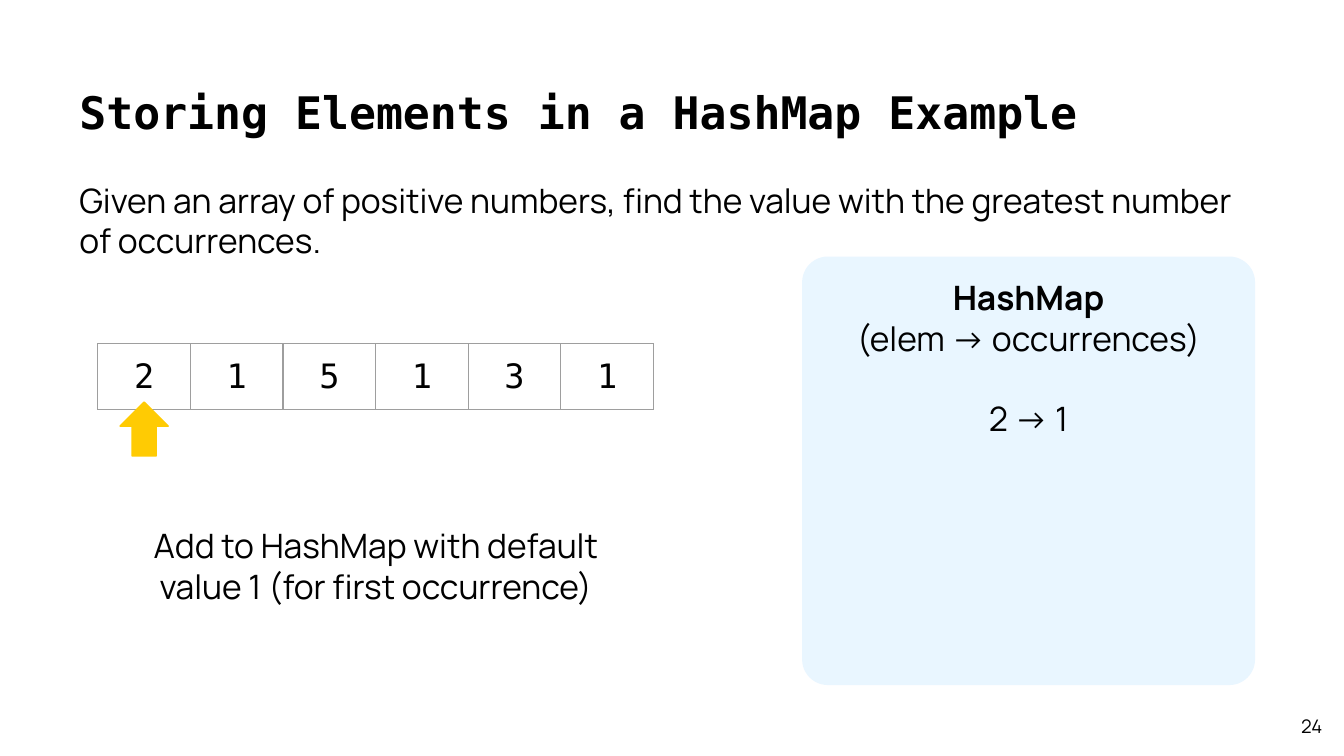
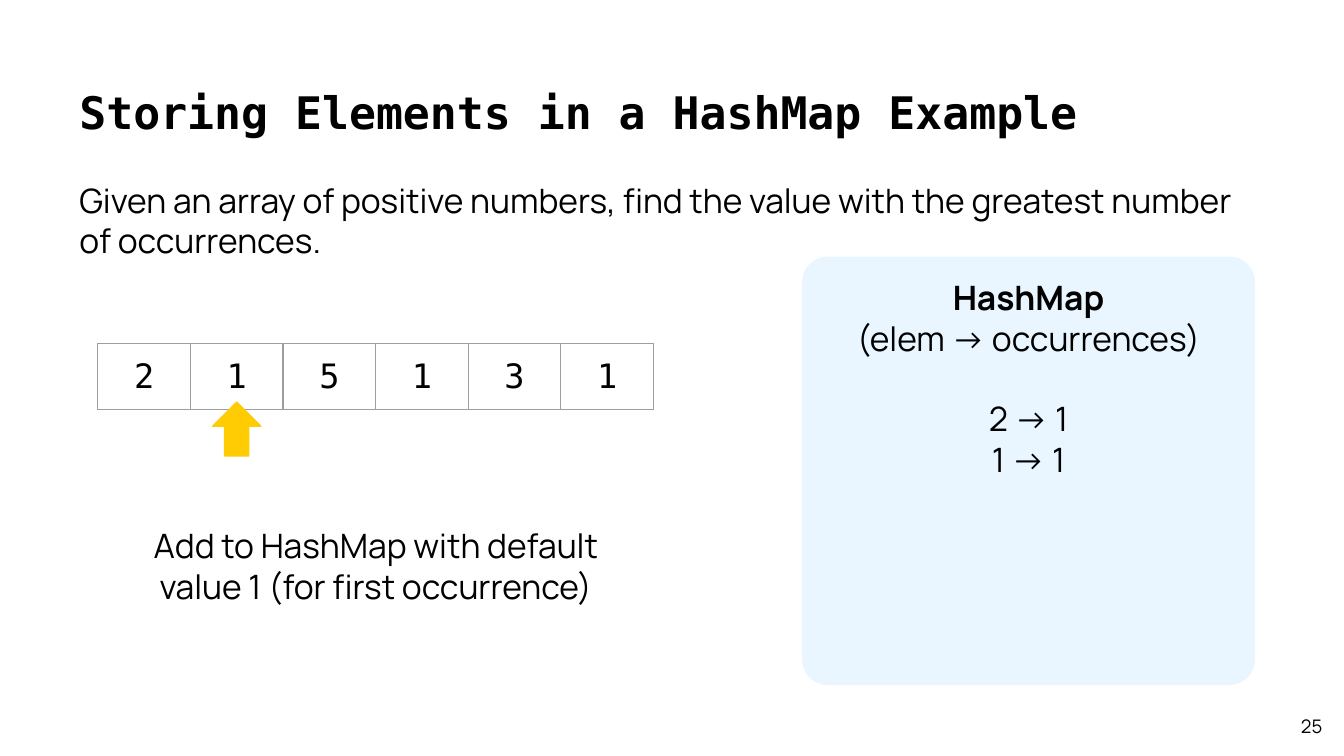
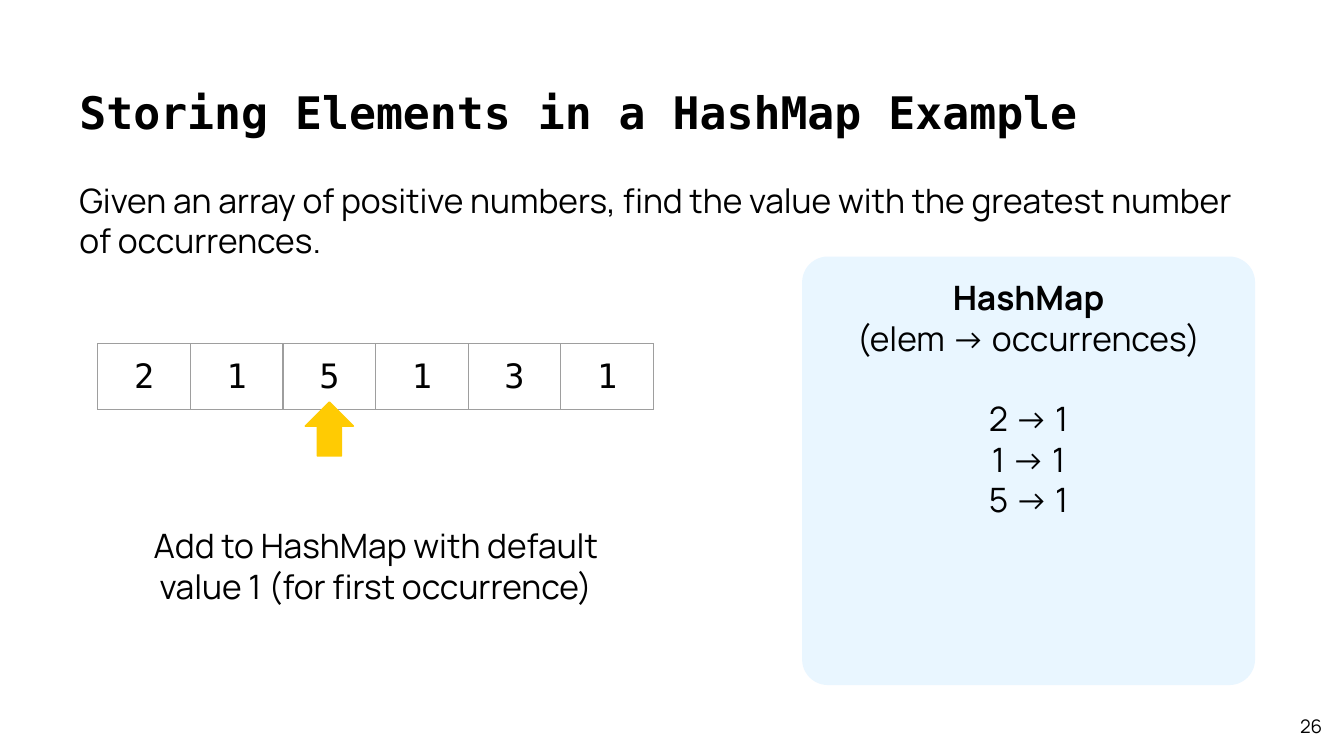
"""Build three steps of counting array values in a HashMap."""
import pptx
import pptx.dml.color
import pptx.enum.shapes
import pptx.enum.text
import pptx.oxml
import pptx.oxml.ns
import pptx.util

Cm = pptx.util.Cm
Pt = pptx.util.Pt
ALIGN = pptx.enum.text.PP_ALIGN
ANCHOR = pptx.enum.text.MSO_ANCHOR
SHAPE = pptx.enum.shapes.MSO_SHAPE

COLORS = {"ink": "000000", "card": "E9F6FF", "arrow": "FFCB03", "grid": "9E9E9E"}
MONO, SANS = "DejaVu Sans Mono", "Manrope"
TITLE = {"name": MONO, "size": Pt(24), "bold": True}
BODY = {"name": SANS, "size": Pt(18), "bold": False}
HEAD = {**BODY, "bold": True}
CELL = {**BODY, "name": MONO}
PAGE = {**BODY, "size": Pt(10)}

VALUES = [2, 1, 5, 1, 3, 1]
FIRST = 24
LEFT, TOP, WIDE, HIGH = 1.85, 6.5, 1.75, 1.07
SPAN = 0.91
INSET = Cm(0.25)


def color(name):
    """Return the named color."""
    return pptx.dml.color.RGBColor.from_string(COLORS[name])


def apply(item, format):
    """Set each format value on the item."""
    for key, value in format.items():
        setattr(item, key, value)


def write(frame, lines, align=ALIGN.LEFT, anchor=ANCHOR.TOP):
    """Fill a text frame with (text, font, space before) lines."""
    apply(frame, {
        "word_wrap": True, "vertical_anchor": anchor,
        "auto_size": pptx.enum.text.MSO_AUTO_SIZE.NONE,
        "margin_left": INSET, "margin_right": INSET,
        "margin_top": INSET, "margin_bottom": INSET,
    })
    for index, (text, font, space) in enumerate(lines):
        para = frame.paragraphs[0] if index == 0 else frame.add_paragraph()
        para.alignment = align
        if space:
            para.space_before = Pt(space)
        run = para.add_run()
        run.text = text
        apply(run.font, font)
        run.font.color.rgb = color("ink")


def add_text(slide, box, text, font, **place):
    """Add a text box with one paragraph."""
    shape = slide.shapes.add_textbox(*map(Cm, box))
    write(shape.text_frame, [(text, font, 0)], **place)


def add_title(slide, text):
    """Place and fill the title."""
    title = slide.shapes.title
    sides = ("left", "top", "width", "height")
    apply(title, dict(zip(sides, map(Cm, (1.25, 1.35, 22.89, 1.6)))))
    write(title.text_frame, [(text, TITLE, 0)])


def add_shape(slide, kind, box, fill):
    """Add a filled shape without line or shadow."""
    shape = slide.shapes.add_shape(kind, *map(Cm, box))
    shape.shadow.inherit = False
    shape.fill.solid()
    shape.fill.fore_color.rgb = color(fill)
    shape.line.fill.background()
    return shape


def add_edges(cell):
    """Draw the four borders of a cell."""
    props = cell._tc.get_or_add_tcPr()
    for index, side in enumerate("LRTB"):
        props.insert(index, pptx.oxml.parse_xml(
            f'<a:ln{side} {pptx.oxml.ns.nsdecls("a")} w="{Pt(0.75)}"><a:solidFill>'
            f'<a:srgbClr val="{COLORS["grid"]}"/></a:solidFill></a:ln{side}>'))


def add_array(slide):
    """Add the array as a one-row table."""
    count = len(VALUES)
    box = map(Cm, (LEFT, TOP, WIDE * count, HIGH))
    table = slide.shapes.add_table(1, count, *box).table
    apply(table, {"first_row": False, "horz_banding": False})
    for index, value in enumerate(VALUES):
        table.columns[index].width = Cm(WIDE)
        cell = table.cell(0, index)
        cell.fill.background()
        apply(cell, {"margin_left": INSET, "margin_right": INSET,
                     "margin_top": INSET, "margin_bottom": INSET})
        para = cell.text_frame.paragraphs[0]
        para.alignment = ALIGN.CENTER
        run = para.add_run()
        run.text = str(value)
        apply(run.font, CELL)
        run.font.color.rgb = color("ink")
        add_edges(cell)


def add_map(slide, keys):
    """Add the card that lists the HashMap entries."""
    card = add_shape(slide, SHAPE.ROUNDED_RECTANGLE, (15.16, 4.85, 8.56, 8.1), "card")
    card.adjustments[0] = 0.06
    lines = [("HashMap", HEAD, 0), ("(elem -> occurrences)", BODY, 0)]
    for index, key in enumerate(keys):
        lines.append((f"{key} -> 1", BODY, 0 if index else 21.6))
    write(card.text_frame, lines, align=ALIGN.CENTER)


def add_arrow(slide, step):
    """Point at the current array element."""
    left = LEFT + WIDE * step + (WIDE - SPAN) / 2
    arrow = add_shape(slide, SHAPE.UP_ARROW, (left, 7.6, SPAN, 1.02), "arrow")
    arrow.line.color.rgb = color("arrow")
    arrow.line.width = Pt(0.75)


def add_step(deck, step):
    """Add the slide for one step."""
    slide = deck.slides.add_slide(deck.slide_layouts[5])
    add_title(slide, "Storing Elements in a HashMap Example")
    add_text(slide, (1.25, 3.15, 22.89, 2.11),
             "Given an array of positive numbers, find the value with the "
             "greatest number of occurrences.", BODY)
    add_text(slide, (23.72, 13.31, 1.52, 0.84), str(FIRST + step), PAGE,
             align=ALIGN.RIGHT, anchor=ANCHOR.MIDDLE)
    add_array(slide)
    add_map(slide, VALUES[:step + 1])
    add_arrow(slide, step)
    add_text(slide, (2.24, 9.68, 9.73, 2.11),
             "Add to HashMap with default value 1 (for first occurrence)",
             BODY, align=ALIGN.CENTER)


def main():
    """Build and save the deck."""
    deck = pptx.Presentation()
    apply(deck, {"slide_width": Cm(25.4), "slide_height": Cm(14.29)})
    for step in range(3):
        add_step(deck, step)
    deck.save("out.pptx")


if __name__ == "__main__":
    main()
